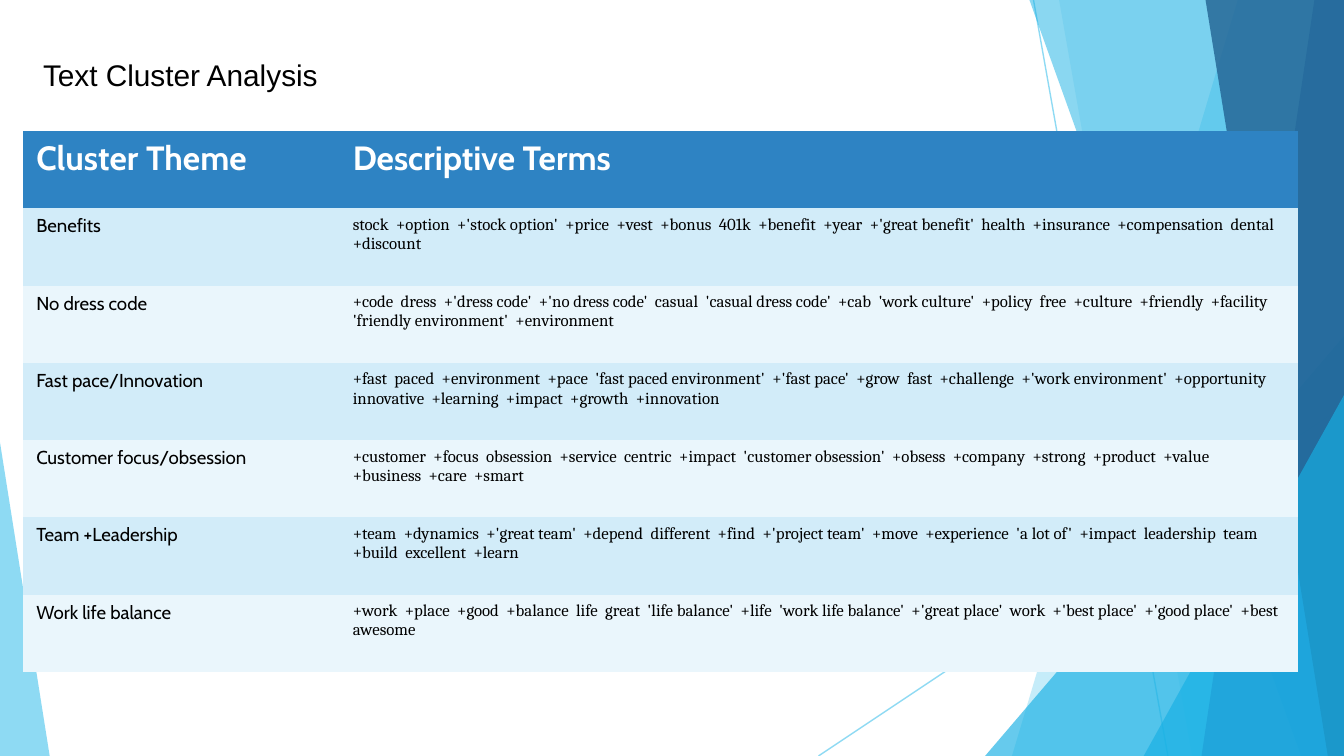
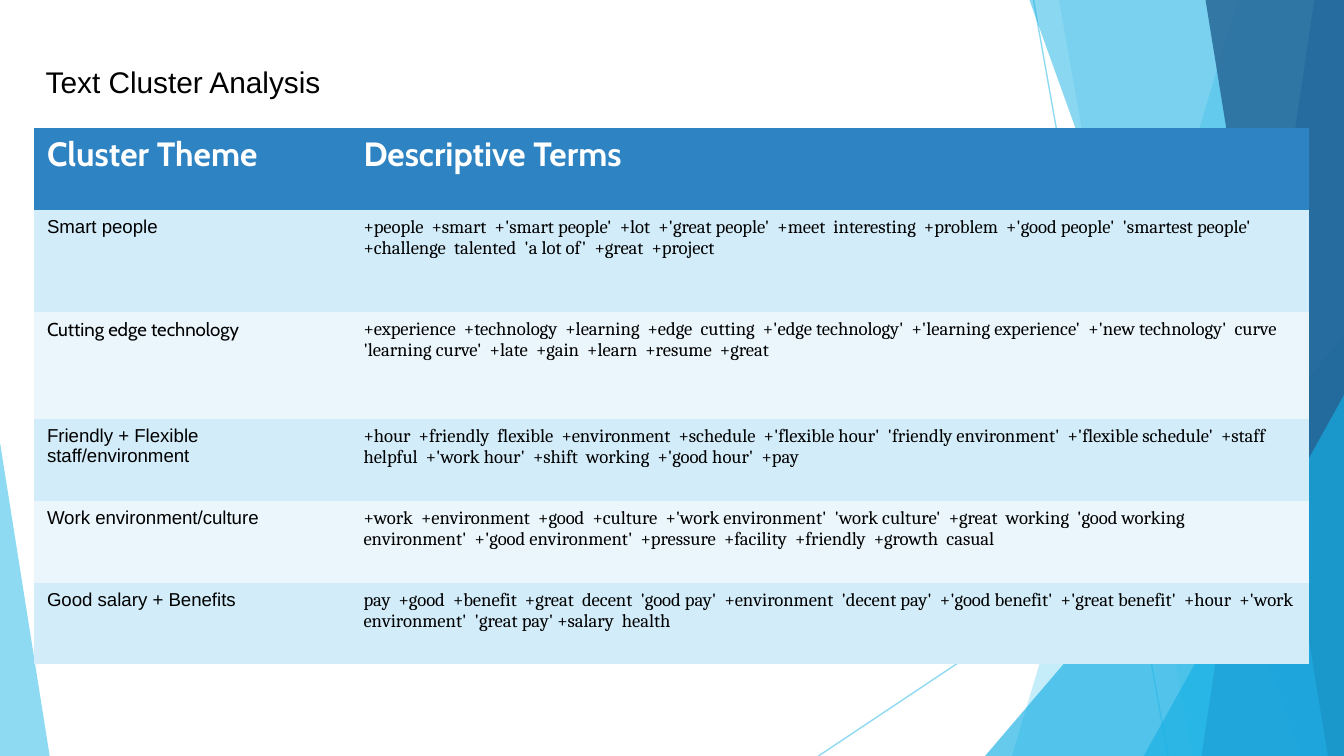
"""Build two slides of text cluster tables over a faceted blue backdrop."""
from dataclasses import dataclass

from lxml.etree import SubElement
from pptx import Presentation
from pptx.dml.color import RGBColor
from pptx.enum.shapes import MSO_CONNECTOR as CONN, MSO_SHAPE as SHAPE
from pptx.enum.text import MSO_ANCHOR as ANCHOR, MSO_AUTO_SIZE as FIT, PP_ALIGN as ALIGN
from pptx.oxml.ns import qn
from pptx.util import Pt

PX = 4572
WIDTH, HEIGHT = 2000, 1125
COLUMNS = (471, 1427)

WHITE = RGBColor(0xFF, 0xFF, 0xFF)
BLACK = RGBColor(0x00, 0x00, 0x00)
SKY = RGBColor(0x5F, 0xCB, 0xEF)
CYAN = RGBColor(0x17, 0xB0, 0xE4)
BLUE = RGBColor(0x2E, 0x83, 0xC3)
NAVY = RGBColor(0x22, 0x62, 0x92)
BANDS = (RGBColor(0xD2, 0xEC, 0xF9), RGBColor(0xEA, 0xF6, 0xFC))

SANS, LABEL, SERIF = "Arial", "Cabin", "Cambria"
TERM_GAP = chr(160) + " "
NO_STYLE = "{2D5ABB26-0587-4C30-8999-92F81FD0307C}"


@dataclass(frozen=True)
class Ray:
    x1: int
    y1: int
    x2: int
    y2: int


@dataclass(frozen=True)
class Facet:
    """Full-height panel that runs from a slanted left side to the right edge."""
    top_x: int
    bottom_x: int
    color: RGBColor
    opacity: int


@dataclass(frozen=True)
class Wedge:
    """Triangle standing on the bottom edge."""
    left: int
    top: int
    width: int
    apex: int
    color: RGBColor
    opacity: int


@dataclass(frozen=True)
class Cluster:
    theme: str
    terms: str
    height: int = 115
    font: str = LABEL


@dataclass(frozen=True)
class ClusterSlide:
    title_left: int
    title_top: int
    table_left: int
    table_top: int
    header_height: int
    term_size: int
    clusters: tuple[Cluster, ...]


RAYS = (Ray(1538, 0, 1738, HEIGHT), Ray(WIDTH, 604, 1218, HEIGHT))
PANELS = (
    Facet(1842, 1506, SKY, 36),
    Facet(1576, 1774, SKY, 20),
    Wedge(1466, 500, 534, 1, CYAN, 66),
    Facet(1532, 1936, CYAN, 50),
    Facet(1956, 1788, BLUE, 70),
    Facet(1794, 1976, NAVY, 80),
    Wedge(1702, 588, 298, 1, CYAN, 66),
    Wedge(0, 658, 74, 0, SKY, 70),
)

SLIDES = (
    ClusterSlide(44, 74, 34, 195, 115, 9, (
        Cluster("Benefits",
                "stock|+option|+'stock option'|+price|+vest|+bonus|401k|+benefit|+year|"
                "+'great benefit'|health|+insurance|+compensation|dental|+discount"),
        Cluster("No dress code",
                "+code|dress|+'dress code'|+'no dress code'|casual|'casual dress code'|+cab|"
                "'work culture'|+policy|free|+culture|+friendly|+facility|"
                "'friendly environment'|+environment"),
        Cluster("Fast pace/Innovation",
                "+fast|paced|+environment|+pace|'fast paced environment'|+'fast pace'|+grow|"
                "fast|+challenge|+'work environment'|+opportunity|innovative|+learning|"
                "+impact|+growth|+innovation"),
        Cluster("Customer focus/obsession",
                "+customer|+focus|obsession|+service|centric|+impact|'customer obsession'|"
                "+obsess|+company|+strong|+product|+value|+business|+care|+smart"),
        Cluster("Team +Leadership",
                "+team|+dynamics|+'great team'|+depend|different|+find|+'project team'|+move|"
                "+experience|'a lot of'|+impact|leadership|team|+build|excellent|+learn"),
        Cluster("Work life balance",
                "+work|+place|+good|+balance|life|great|'life balance'|+life|"
                "'work life balance'|+'great place'|work|+'best place'|+'good place'|"
                "+best|awesome"),
    )),
    ClusterSlide(48, 84, 50, 190, 122, 10, (
        Cluster("Smart people",
                "+people|+smart|+'smart people'|+lot|+'great people'|+meet|interesting|"
                "+problem|+'good people'|'smartest people'|+challenge|talented|'a lot of'|"
                "+great|+project", 152, SANS),
        Cluster("Cutting edge technology",
                "+experience|+technology|+learning|+edge|cutting|+'edge technology'|"
                "+'learning experience'|+'new technology'|curve|'learning curve'|+late|"
                "+gain|+learn|+resume|+great", 159),
        Cluster("Friendly + Flexible staff/environment",
                "+hour|+friendly|flexible|+environment|+schedule|+'flexible hour'|"
                "'friendly environment'|+'flexible schedule'|+staff|helpful|+'work hour'|"
                "+shift|working|+'good hour'|+pay", 122, SANS),
        Cluster("Work environment/culture",
                "+work|+environment|+good|+culture|+'work environment'|'work culture'|+great|"
                "working|'good working environment'|+'good environment'|+pressure|+facility|"
                "+friendly|+growth|casual", 122, SANS),
        Cluster("Good salary + Benefits",
                "pay|+good|+benefit|+great|decent|'good pay'|+environment|'decent pay'|"
                "+'good benefit'|+'great benefit'|+hour|+'work environment'|"
                "'great pay' +salary|health", 122, SANS),
    )),
)


def px(*lengths: int) -> list[int]:
    return [n * PX for n in lengths]


def fade(shape, opacity: int) -> None:
    for color in shape.element.xpath("./p:spPr//a:srgbClr"):
        SubElement(color, qn("a:alpha")).set("val", str(opacity * 1000))


def add_ray(shapes, ray: Ray) -> None:
    c = shapes.add_connector(CONN.STRAIGHT, *px(ray.x1, ray.y1, ray.x2, ray.y2))
    c.line.color.rgb = SKY
    c.line.width = Pt(0.75)
    SubElement(c.element.spPr, qn("a:effectLst"))
    fade(c, 70)


def add_panel(shapes, panel: Facet | Wedge) -> None:
    if isinstance(panel, Facet):
        fb = shapes.build_freeform(*px(panel.top_x, 0))
        corners = ((WIDTH, 0), (WIDTH, HEIGHT), (panel.bottom_x, HEIGHT))
        fb.add_line_segments([tuple(px(*xy)) for xy in corners])
        sp = fb.convert_to_shape()
    else:
        box = px(panel.left, panel.top, panel.width, HEIGHT - panel.top)
        sp = shapes.add_shape(SHAPE.ISOSCELES_TRIANGLE, *box)
        sp.adjustments[0] = panel.apex
    sp.shadow.inherit = False
    sp.fill.solid()
    sp.fill.fore_color.rgb = panel.color
    sp.line.fill.background()
    fade(sp, panel.opacity)


def add_backdrop(s, layout) -> None:
    """Draw the backdrop as one group and hand it to the shared layout."""
    group = s.shapes.add_group_shape()
    for ray in RAYS:
        add_ray(group.shapes, ray)
    for panel in PANELS:
        add_panel(group.shapes, panel)
    for number, props in enumerate(group.element.xpath(".//p:cNvPr"), 20):
        props.set("id", str(number))
    layout.shapes.element.insert(2, group.element)


def add_run(p, text: str, font: str, size: int, color: RGBColor, bold: bool = False) -> None:
    r = p.add_run()
    r.text = text
    r.font.name, r.font.size, r.font.bold = font, Pt(size), bold
    r.font.color.rgb = color


def set_title(s, left: int, top: int) -> None:
    sp = s.shapes.title
    sp.left, sp.top, sp.width, sp.height = px(left, top, 600, 74)
    tf = sp.text_frame
    tf.word_wrap, tf.auto_size, tf.vertical_anchor = True, FIT.NONE, ANCHOR.TOP
    p = tf.paragraphs[0]
    p.alignment = ALIGN.LEFT
    add_run(p, "Text Cluster Analysis", SANS, 16, BLACK)


def fill_cell(cell, fill: RGBColor, *run) -> None:
    cell.fill.solid()
    cell.fill.fore_color.rgb = fill
    add_run(cell.text_frame.paragraphs[0], *run)


def add_cluster_table(s, spec_: ClusterSlide) -> None:
    heights = [spec_.header_height] + [c.height for c in spec_.clusters]
    box = px(spec_.table_left, spec_.table_top, sum(COLUMNS), sum(heights))
    frame = s.shapes.add_table(len(heights), len(COLUMNS), *box)
    frame.element.xpath(".//a:tableStyleId")[0].text = NO_STYLE
    table = frame.table
    table.horz_banding = False
    for column, width in zip(table.columns, px(*COLUMNS)):
        column.width = width
    for row, height in zip(table.rows, px(*heights)):
        row.height = height
    for col, heading in enumerate(("Cluster Theme", "Descriptive Terms")):
        fill_cell(table.cell(0, col), BLUE, heading, LABEL, 18, WHITE, True)
    for row, cluster in enumerate(spec_.clusters, 1):
        band = BANDS[(row - 1) % 2]
        terms = cluster.terms.replace("|", TERM_GAP)
        fill_cell(table.cell(row, 0), band, cluster.theme, cluster.font, 10, BLACK)
        fill_cell(table.cell(row, 1), band, terms, SERIF, spec_.term_size, BLACK)


def main() -> None:
    prs = Presentation()
    prs.slide_width, prs.slide_height = px(WIDTH, HEIGHT)
    layout = prs.slide_layouts.get_by_name("Title Only")
    for ph in list(layout.placeholders)[1:]:
        ph.element.getparent().remove(ph.element)
    for number, content in enumerate(SLIDES):
        s = prs.slides.add_slide(layout)
        if number == 0:
            add_backdrop(s, layout)
        set_title(s, content.title_left, content.title_top)
        add_cluster_table(s, content)
    prs.save("out.pptx")


if __name__ == "__main__":
    main()
